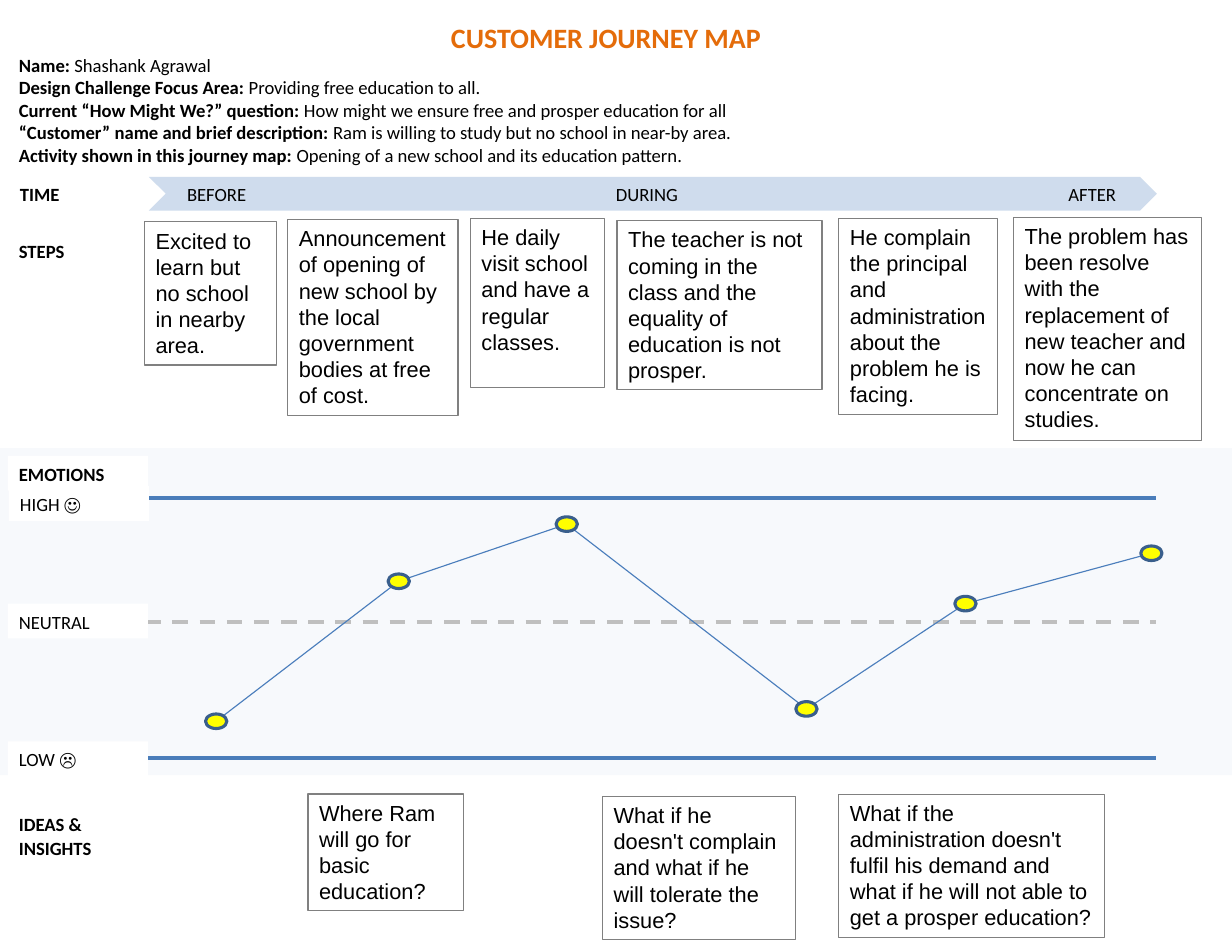
from dataclasses import dataclass
from itertools import pairwise

from lxml import etree
from pptx import Presentation
from pptx.dml.color import RGBColor
from pptx.enum.dml import MSO_LINE
from pptx.enum.shapes import MSO_CONNECTOR, MSO_SHAPE
from pptx.enum.text import MSO_ANCHOR, MSO_AUTO_SIZE, PP_ALIGN
from pptx.oxml.ns import qn
from pptx.util import Inches, Pt

RECT, OVAL, CHEVRON = MSO_SHAPE.RECTANGLE, MSO_SHAPE.OVAL, MSO_SHAPE.CHEVRON
STRAIGHT = MSO_CONNECTOR.STRAIGHT
DASH = MSO_LINE.DASH
MIDDLE, TOP = MSO_ANCHOR.MIDDLE, MSO_ANCHOR.TOP
LEFT, CENTER = PP_ALIGN.LEFT, PP_ALIGN.CENTER
GROW = MSO_AUTO_SIZE.SHAPE_TO_FIT_TEXT


@dataclass(frozen=True)
class Theme:
    sans: str = "Calibri"
    plain: str = "Arial"
    title: int = 18
    body: int = 12
    note: int = 14
    ink: str = "000000"
    accent: str = "E46C0A"
    paper: str = "FFFFFF"
    band: str = "C2D3E8"
    arrow: str = "4F81BD"
    limit: str = "4A7DBA"
    middle: str = "BFBFBF"
    curve: str = "4B7EBC"
    dot: str = "FFFF00"
    ring: str = "3A5F8C"
    frame: str = "808080"


THEME = Theme()

HEADER = [
    ("Name: ", "Shashank Agrawal"),
    ("Design Challenge Focus Area: ", "Providing free education to all."),
    ("Current “How Might We?” question: ",
     "How might we ensure free and prosper education for all"),
    ("“Customer” name and brief description: ",
     "Ram is willing to study but no school in near-by area."),
    ("Activity shown in this journey map: ",
     "Opening of a new school and its education pattern."),
]

# text, left, top, width, height, bold
LABELS = [
    ("TIME", 0.08, 1.57, 0.92, 0.31, True),
    ("STEPS", 0.07, 2.08, 0.75, 0.31, True),
    ("IDEAS & INSIGHTS", 0.07, 7.2, 1.26, 0.52, True),
    ("EMOTIONS", 0.07, 4.07, 1.25, 0.31, True),
    ("LOW ☹", 0.07, 6.62, 1.25, 0.31, False),
    ("NEUTRAL", 0.07, 5.39, 1.25, 0.31, False),
    ("HIGH ☺", 0.08, 4.34, 1.25, 0.31, False),
]

# text, left, top, width, height
STEPS = [
    ("Excited to learn but no school in nearby area.", 1.29, 1.98, 1.18, 1.28),
    ("Announcement of opening of new school by the local government bodies "
     "at free of cost.", 2.57, 1.96, 1.52, 1.75),
    ("He daily visit school and have a regular classes.",
     4.2, 1.95, 1.2, 1.51),
    ("The teacher is not coming in the class and the equality of education "
     "is not prosper.", 5.51, 1.97, 1.83, 1.51),
    ("He complain the principal and administration about the problem he is "
     "facing.", 7.49, 1.95, 1.42, 1.75),
    ("The problem has been resolve with the replacement of new teacher and "
     "now he can concentrate on studies.", 9.05, 1.94, 1.68, 1.99),
]
IDEAS = [
    ("Where Ram will go for basic education?", 2.75, 7.09, 1.39, 1.04),
    ("What if he doesn't complain and what if he will tolerate the issue?",
     5.38, 7.11, 1.72, 1.28),
    ("What if the administration doesn't fulfil his demand and what if he "
     "will not able to get a prosper education?", 7.49, 7.09, 2.37, 1.28),
]

# centres of the emotion dots
MOODS = [(1.93, 6.44), (3.56, 5.19), (5.06, 4.68),
         (7.2, 6.33), (8.62, 5.39), (10.28, 4.94)]


def rgb(code):
    return RGBColor.from_string(code)


def style(run, size, font=THEME.sans, color=THEME.ink, bold=False):
    run.font.size = Pt(size)
    run.font.name = font
    run.font.bold = bold
    run.font.color.rgb = rgb(color)


def add_box(slide, kind, place, fill=None, line=None, width=0.75, alpha=None):
    """Add a preset shape; alpha is the opacity of its fill in percent."""
    box = slide.shapes.add_shape(kind, *map(Inches, place))
    box.shadow.inherit = False
    if fill:
        box.fill.solid()
        box.fill.fore_color.rgb = rgb(fill)
    else:
        box.fill.background()
    if alpha:
        tint = box.fill._xPr.find(".//" + qn("a:srgbClr"))
        etree.SubElement(tint, qn("a:alpha"), val=str(alpha * 1000))
    if line:
        box.line.color.rgb = rgb(line)
        box.line.width = Pt(width)
    else:
        box.line.fill.background()
    return box


def write(box, text, anchor=MIDDLE):
    """Put one left-aligned paragraph in a shape and return it."""
    frame = box.text_frame
    frame.word_wrap = True
    frame.vertical_anchor = anchor
    frame.text = text
    para = frame.paragraphs[0]
    para.alignment = LEFT
    return para


def add_line(slide, start, end, color, width, dash=None):
    line = slide.shapes.add_connector(STRAIGHT, *map(Inches, (*start, *end)))
    line.line.color.rgb = rgb(color)
    line.line.width = Pt(width)
    if dash:
        line.line.dash_style = dash
    etree.SubElement(line._element.spPr, qn("a:effectLst"))


def add_label(slide, text, *place, bold):
    para = write(add_box(slide, RECT, place, THEME.paper), text)
    para.line_spacing = 1.05
    style(para.runs[0], THEME.body, bold=bold)


def add_note(slide, text, *place):
    box = add_box(slide, RECT, place, line=THEME.frame)
    para = write(box, text, TOP)
    box.text_frame.auto_size = GROW
    style(para.runs[0], THEME.note, THEME.plain)


def add_header(slide):
    box = slide.shapes.add_textbox(*map(Inches, (0.07, 0.14, 10.68, 1.38)))
    title = write(box, "CUSTOMER JOURNEY MAP")
    title.alignment = CENTER
    style(title.runs[0], THEME.title, color=THEME.accent, bold=True)
    for pair in HEADER:
        para = box.text_frame.add_paragraph()
        for text, bold in zip(pair, (True, False)):
            run = para.add_run()
            run.text = text
            style(run, THEME.body, bold=bold)


def add_phases(slide):
    """Add the time arrow, its phases set apart by tab stops."""
    bar = add_box(slide, CHEVRON, (1.33, 1.58, 9, 0.3), THEME.arrow, alpha=27)
    bar.text_frame.margin_left = Inches(0.19)
    para = write(bar, "BEFORE\tDURING\tAFTER")
    tabs = etree.SubElement(para._p.get_or_add_pPr(), qn("a:tabLst"))
    for stop in (3.83, 7.87):
        etree.SubElement(tabs, qn("a:tab"), pos=str(Inches(stop)), algn="l")
    for run in para.runs:
        style(run, THEME.body)


def add_curve(slide):
    for start, end in pairwise(MOODS):
        add_line(slide, start, end, THEME.curve, 0.75)
    wide, high = 0.19, 0.13
    for x, y in MOODS:
        place = (x - wide / 2, y - high / 2, wide, high)
        add_box(slide, OVAL, place, THEME.dot, THEME.ring, 2)


def main():
    deck = Presentation()
    deck.slide_width, deck.slide_height = Inches(11), Inches(8.5)
    slide = deck.slides.add_slide(deck.slide_layouts[6])

    add_box(slide, RECT, (0, 4, 11, 2.92), THEME.band, alpha=12)
    for y, color, dash in ((6.77, THEME.limit, None), (4.45, THEME.limit, None),
                           (5.55, THEME.middle, DASH)):
        add_line(slide, (0.57, y), (10.32, y), color, 2.5, dash)
    add_header(slide)
    add_phases(slide)
    for *label, bold in LABELS:
        add_label(slide, *label, bold=bold)
    for note in STEPS:
        add_note(slide, *note)
    add_curve(slide)
    for note in IDEAS:
        add_note(slide, *note)
    deck.save("out.pptx")


if __name__ == "__main__":
    main()
